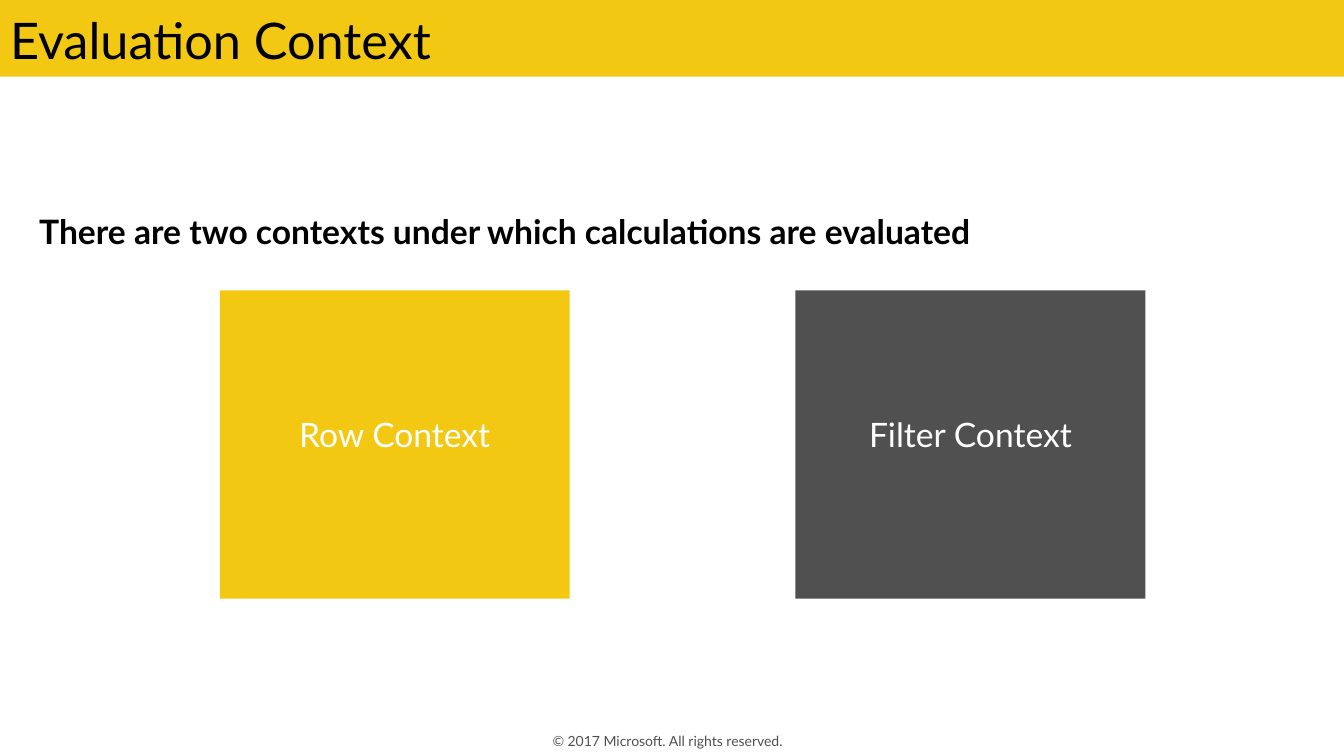
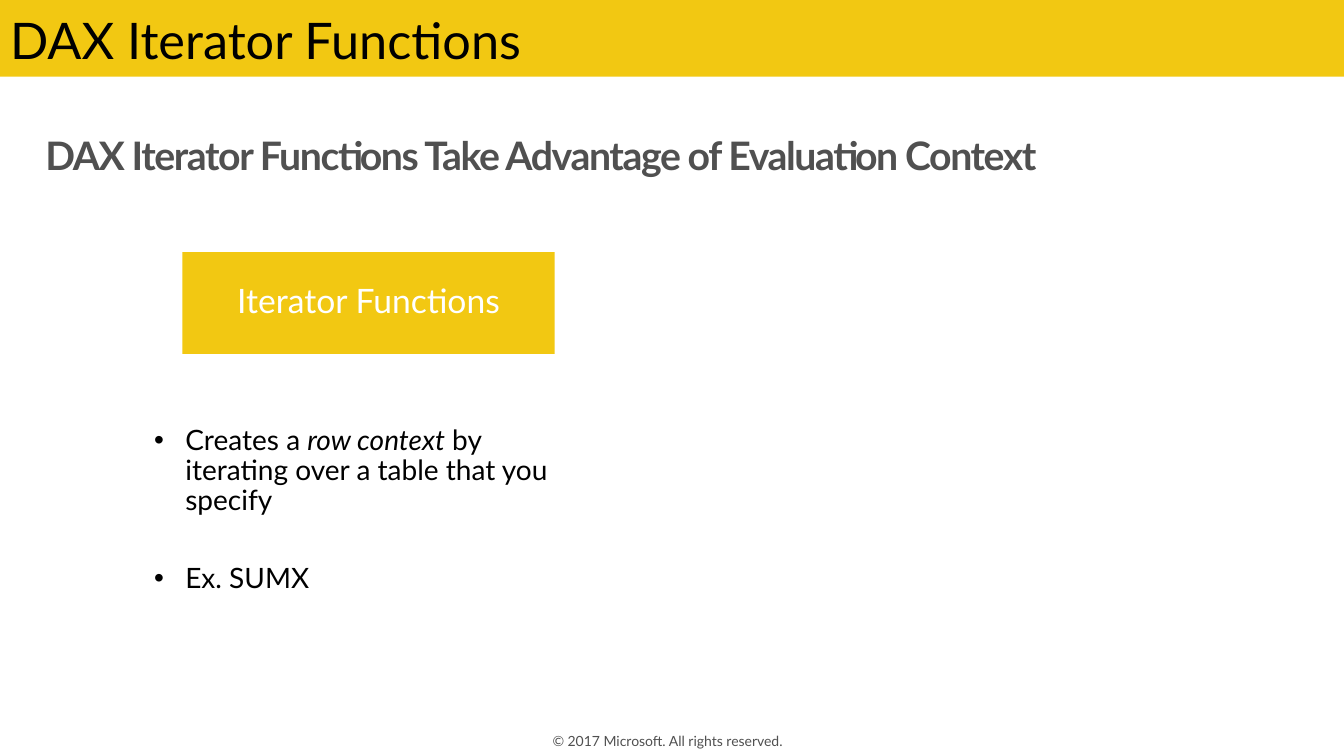
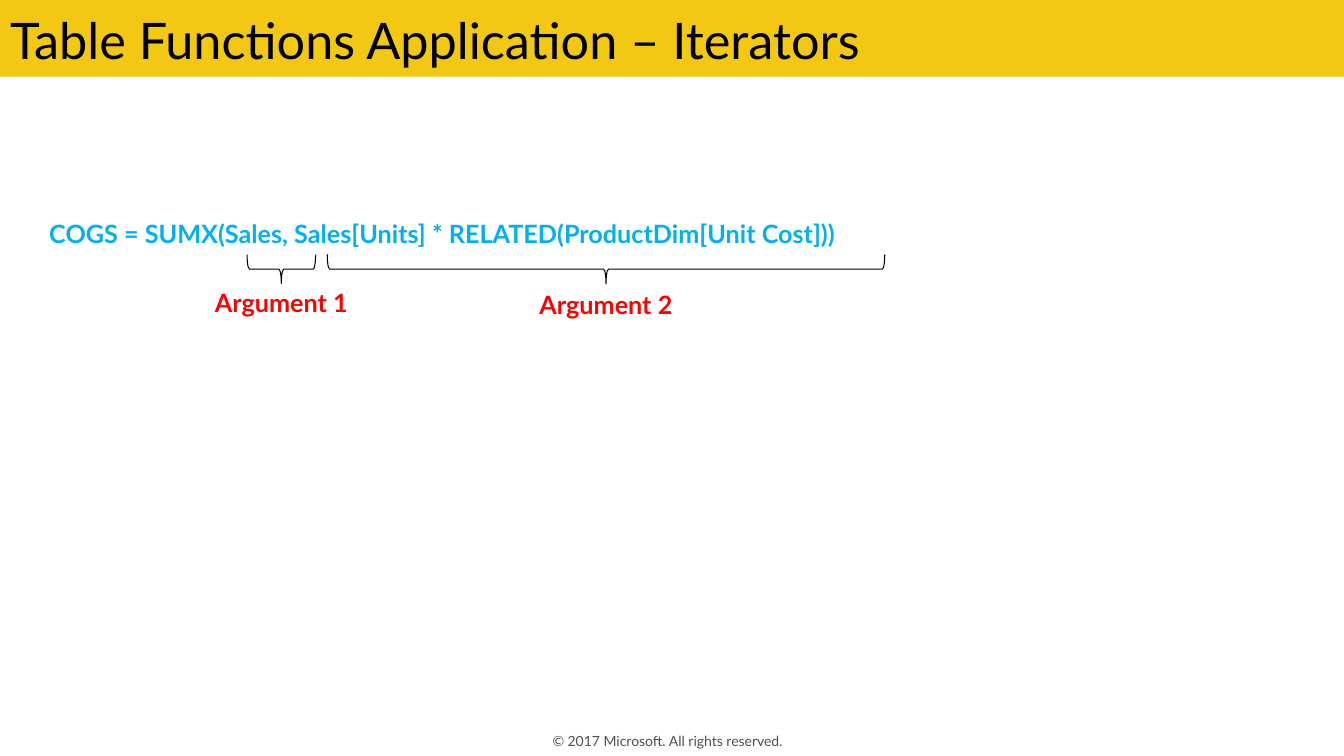
import pptx
import pptx.util
import pptx.dml.color
import pptx.enum.shapes
import pptx.enum.text
import pptx.oxml
import pptx.oxml.ns

Inches, Pt = pptx.util.Inches, pptx.util.Pt
ALIGN = pptx.enum.text.PP_ALIGN
ANCHOR = pptx.enum.text.MSO_ANCHOR
SHAPE = pptx.enum.shapes.MSO_SHAPE
RGB = pptx.dml.color.RGBColor.from_string

COLORS = {"yellow": "F2C812", "gray": "505050", "black": "000000",
          "white": "FFFFFF", "blue": "00B0F0", "red": "FF0000"}
FONT = "Lato"
BOX_INSETS = (0.2, 0.16, 0.2, 0.16)


def write(sp, text, size, color, bold=False, align=ALIGN.LEFT, anchor=ANCHOR.TOP,
          insets=(0.1, 0.05, 0.1, 0.05), spacing=0.9, wrap=True):
    """Format the frame of sp, put text in its first paragraph and return the run."""
    tf = sp.text_frame
    tf.word_wrap = wrap
    tf.auto_size = pptx.enum.text.MSO_AUTO_SIZE.NONE
    tf.vertical_anchor = anchor
    tf.margin_left, tf.margin_top, tf.margin_right, tf.margin_bottom = map(Inches, insets)
    p = tf.paragraphs[0]
    p.alignment = align
    p.line_spacing = spacing
    r = p.add_run()
    r.text = text
    r.font.name, r.font.size, r.font.bold = FONT, Pt(size), bold
    r.font.color.rgb = RGB(COLORS[color])
    return r


def add_box(s, left, top, width, height, color):
    """Add a plain filled rectangle."""
    sp = s.shapes.add_shape(SHAPE.RECTANGLE, Inches(left), Inches(top),
                            Inches(width), Inches(height))
    sp.shadow.inherit = False
    sp.fill.solid()
    sp.fill.fore_color.rgb = RGB(COLORS[color])
    sp.line.fill.background()
    return sp


prs = pptx.Presentation()
prs.slide_width, prs.slide_height = Inches(13.33), Inches(7.5)

# Title band and footer on every slide
slides = []
for title in ["Evaluation Context", "DAX Iterator Functions",
              "Table Functions Application – Iterators"]:
    s = prs.slides.add_slide(prs.slide_layouts[5])
    band = add_box(s, 0, 0, 13.33, 0.76, "yellow")
    s.shapes.title._element.addprevious(band._element)
    sp = s.shapes.title
    sp.left, sp.top, sp.width, sp.height = Inches(0), Inches(0.04), Inches(12.53), Inches(0.72)
    write(sp, title, 36, "black", spacing=1.0)
    footer = s.shapes.add_textbox(Inches(4.42), Inches(7.23), Inches(4.5), Inches(0.25))
    write(footer, "© 2017 Microsoft. All rights reserved.", 10, "gray", align=ALIGN.CENTER,
          anchor=ANCHOR.MIDDLE, insets=(0, 0, 0.1, 0), spacing=1.0)
    slides.append(s)
contexts, iterators, application = slides

# Evaluation contexts
sp = contexts.shapes.add_textbox(Inches(0.29), Inches(2.09), Inches(10.05), Inches(0.46))
write(sp, "There are two contexts under which calculations are evaluated", 24, "black",
      bold=True, wrap=False)
for left, name, color in [(2.18, "Row Context", "yellow"), (7.89, "Filter Context", "gray")]:
    sp = add_box(contexts, left, 2.88, 3.47, 3.06, color)
    write(sp, name, 24, "white", align=ALIGN.CENTER, anchor=ANCHOR.MIDDLE,
          insets=(0.2, 0.16, 0.2, 0.32))

# Iterator functions
sp = iterators.shapes.add_textbox(Inches(0.29), Inches(1.26), Inches(12.75), Inches(0.57))
r = write(sp, "DAX Iterator Functions Take Advantage of Evaluation Context", 28, "gray",
          bold=True, insets=(0.16, 0.1, 0.16, 0.1))
r.font._element.set("spc", "-100")

sp = add_box(iterators, 1.81, 2.5, 3.69, 1.01, "yellow")
write(sp, "Iterator Functions", 24, "white", align=ALIGN.CENTER, anchor=ANCHOR.MIDDLE,
      insets=BOX_INSETS)

sp = iterators.shapes.add_textbox(Inches(1.43), Inches(4.18), Inches(4.43), Inches(1.78))
tf = sp.text_frame
tf.word_wrap = True
bullets = [[("Creates a ", False), ("row context", True),
            (" by iterating over a table that you specify", False)],
           [("Ex. SUMX", False)]]
for i, runs in enumerate(bullets):
    p = tf.add_paragraph() if i else tf.paragraphs[0]
    p.line_spacing = 0.9
    p.space_after = Pt(6 if i else 34)
    pPr = p._p.get_or_add_pPr()
    pPr.set("marL", str(Inches(0.31)))
    pPr.set("indent", str(-Inches(0.31)))
    pPr.append(pptx.oxml.parse_xml(
        f'<a:buFont {pptx.oxml.ns.nsdecls("a")} typeface="Arial"/>'))
    pPr.append(pptx.oxml.parse_xml(
        f'<a:buChar {pptx.oxml.ns.nsdecls("a")} char="•"/>'))
    for text, italic in runs:
        r = p.add_run()
        r.text = text
        r.font.name, r.font.size, r.font.italic = FONT, Pt(20), italic
        r.font.color.rgb = RGB(COLORS["black"])

# Formula with its arguments
sp = application.shapes.add_textbox(Inches(0.39), Inches(2.12), Inches(11.63), Inches(0.4))
write(sp, "COGS = SUMX(Sales, Sales[Units] * RELATED(ProductDim[Unit Cost]))", 18, "blue",
      bold=True, spacing=1.0)
BRACE_DEPTH, BRACE_MIDDLE, LABEL_WIDTH = 0.29, 2.67, 2.98
for name, center, span, label_top in [("Argument 1", 2.79, 0.68, 2.72),
                                      ("Argument 2", 6.01, 5.53, 2.74)]:
    brace = application.shapes.add_shape(
        SHAPE.RIGHT_BRACE, Inches(center - BRACE_DEPTH / 2), Inches(BRACE_MIDDLE - span / 2),
        Inches(BRACE_DEPTH), Inches(span))
    brace.rotation = 90
    brace.shadow.inherit = False
    brace.fill.background()
    brace.line.color.rgb = RGB(COLORS["black"])
    brace.line.width = Pt(0.75)
    sp = application.shapes.add_textbox(Inches(center - LABEL_WIDTH / 2), Inches(label_top),
                                        Inches(LABEL_WIDTH), Inches(0.6))
    write(sp, name, 18, "red", bold=True, align=ALIGN.CENTER, insets=BOX_INSETS)

prs.save("out.pptx")
